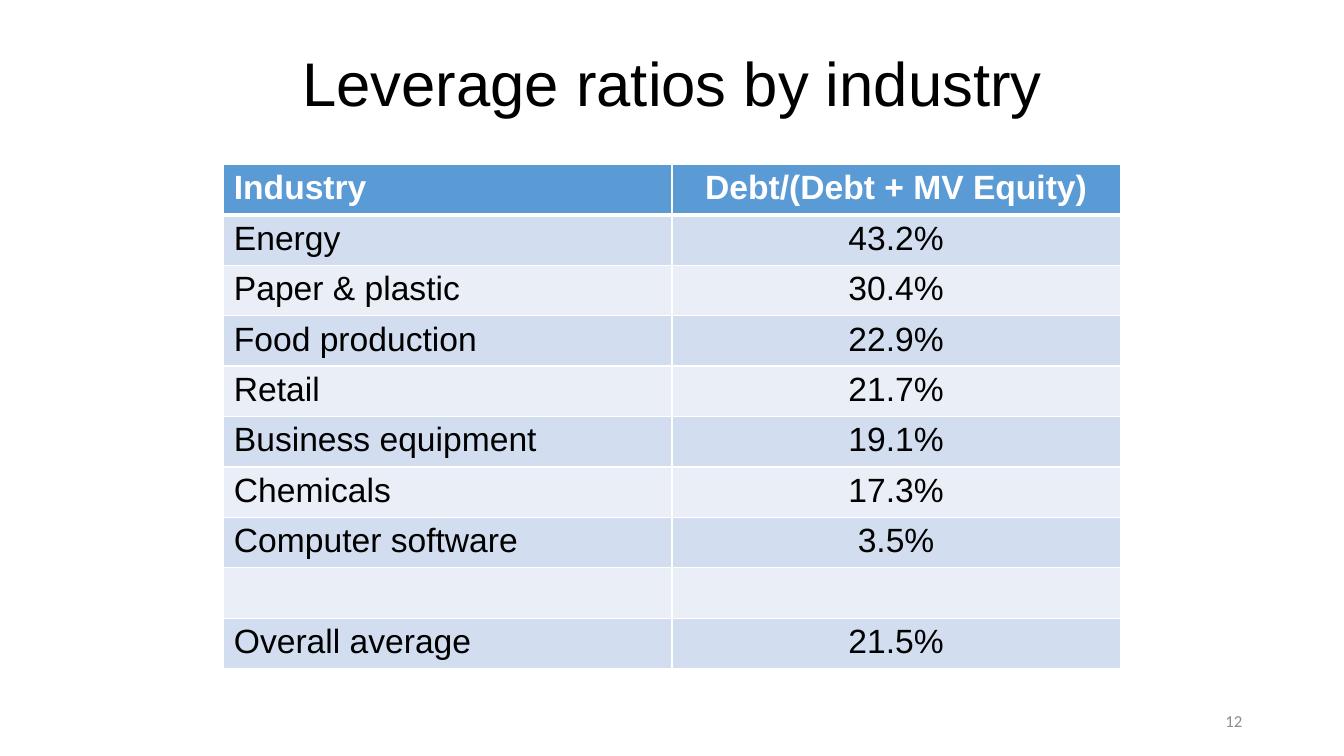
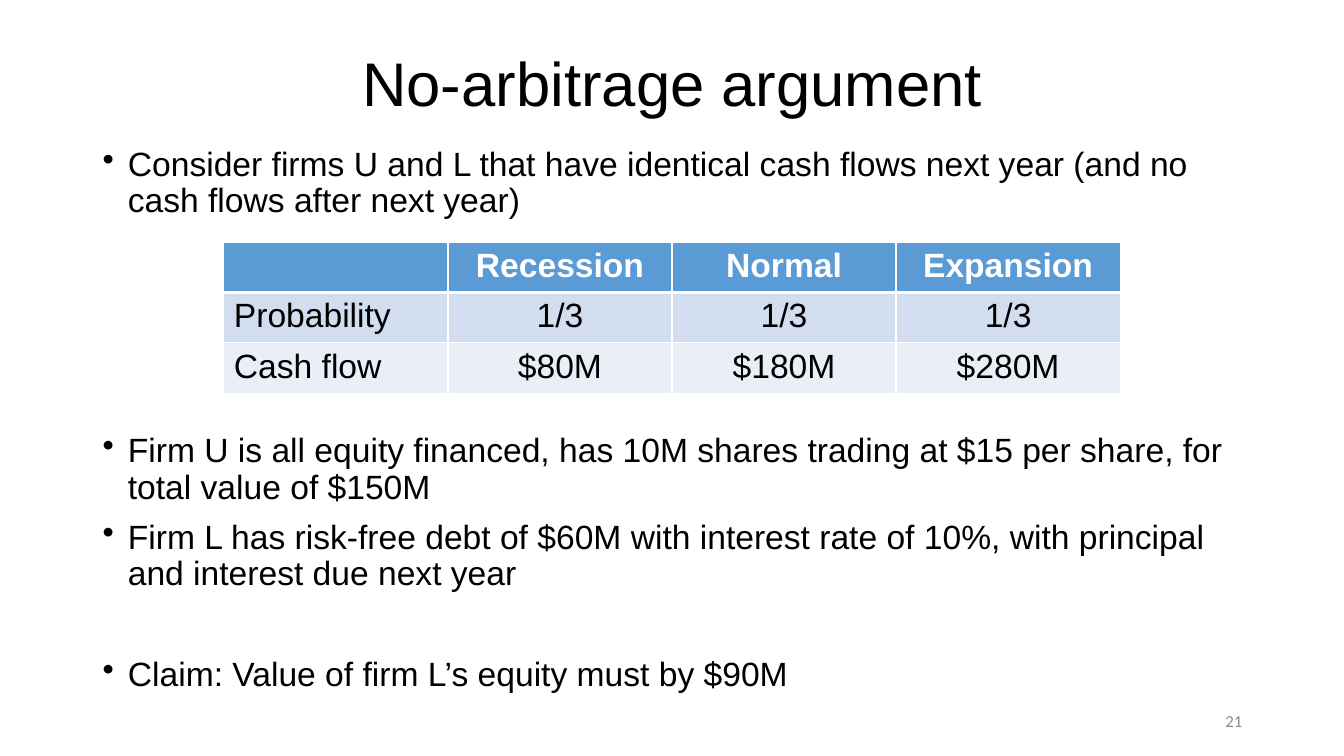
from dataclasses import dataclass

import lxml.etree
import pptx
import pptx.dml.color
import pptx.enum.text
import pptx.oxml.ns
import pptx.util

Inches = pptx.util.Inches
Pt = pptx.util.Pt
Align = pptx.enum.text.PP_ALIGN
Anchor = pptx.enum.text.MSO_ANCHOR

COLORS = {
    "text": "000000",
    "header": "5B9BD5",
    "band_dark": "D2DEEF",
    "band_light": "EAEFF7",
    "white": "FFFFFF",
    "page": "8C8C8C",
}
ROW_HEIGHT = 0.47
TABLE_LEFT, TABLE_WIDTH = 2.22, 8.89


@dataclass(frozen=True)
class Box:
    left: float
    top: float
    width: float
    height: float


@dataclass(frozen=True)
class TextStyle:
    size: float
    color: str = "text"
    font: str = "Arial"
    bold: bool = False
    align: Align = Align.LEFT


@dataclass(frozen=True)
class Bullet:
    text: str
    space_before: float = 10


@dataclass(frozen=True)
class Page:
    title: str
    number: str
    table_top: float
    rows: tuple[tuple[str, ...], ...]
    bullets: tuple[Bullet, ...] = ()


TITLE_BOX = Box(0.92, 0.4, 11.5, 0.91)
BODY_BOX = Box(0.92, 1.41, 11.5, 5.76)
NUMBER_BOX = Box(9.42, 6.95, 3, 0.4)
TITLE_STYLE = TextStyle(44, align=Align.CENTER)
BODY_STYLE = TextStyle(24)
NUMBER_STYLE = TextStyle(12, "page", "Calibri", align=Align.RIGHT)

PAGES = (
    Page(
        "Leverage ratios by industry", "12", 1.63,
        (
            ("Industry", "Debt/(Debt + MV Equity)"),
            ("Energy", "43.2%"),
            ("Paper & plastic", "30.4%"),
            ("Food production", "22.9%"),
            ("Retail", "21.7%"),
            ("Business equipment", "19.1%"),
            ("Chemicals", "17.3%"),
            ("Computer software", "3.5%"),
            ("", ""),
            ("Overall average", "21.5%"),
        ),
    ),
    Page(
        "No-arbitrage argument", "21", 2.4,
        (
            ("", "Recession", "Normal", "Expansion"),
            ("Probability", "1/3", "1/3", "1/3"),
            ("Cash flow", "$80M", "$180M", "$280M"),
        ),
        (
            Bullet("Consider firms U and L that have identical cash flows next year "
                   "(and no cash flows after next year)", 0),
            Bullet("Firm U is all equity financed, has 10M shares trading at $15 per share, "
                   "for total value of $150M", 153),
            Bullet("Firm L has risk-free debt of $60M with interest rate of 10%, "
                   "with principal and interest due next year"),
            Bullet("Claim: Value of firm L’s equity must by $90M", 46),
        ),
    ),
)


def rgb(name: str) -> pptx.dml.color.RGBColor:
    return pptx.dml.color.RGBColor.from_string(COLORS[name])


def style_paragraph(paragraph, style: TextStyle) -> None:
    paragraph.alignment = style.align
    font = paragraph.font
    font.size = Pt(style.size)
    font.name = style.font
    font.bold = style.bold
    font.color.rgb = rgb(style.color)


def add_frame(slide, box: Box, anchor: Anchor):
    frame = slide.shapes.add_textbox(
        Inches(box.left), Inches(box.top), Inches(box.width), Inches(box.height)
    ).text_frame
    frame.word_wrap = True
    frame.vertical_anchor = anchor
    return frame


def add_line(slide, box: Box, text: str, style: TextStyle, spacing: float = 1.0) -> None:
    paragraph = add_frame(slide, box, Anchor.MIDDLE).paragraphs[0]
    paragraph.text = text
    paragraph.line_spacing = spacing
    style_paragraph(paragraph, style)


def add_bullets(slide, bullets: tuple[Bullet, ...]) -> None:
    frame = add_frame(slide, BODY_BOX, Anchor.TOP)
    for index, bullet in enumerate(bullets):
        paragraph = frame.add_paragraph() if index else frame.paragraphs[0]
        paragraph.text = bullet.text
        paragraph.line_spacing = 0.9
        paragraph.space_before = Pt(bullet.space_before)
        style_paragraph(paragraph, BODY_STYLE)
        properties = paragraph._p.get_or_add_pPr()
        properties.set("marL", str(Inches(0.25)))
        properties.set("indent", str(-Inches(0.25)))
        marker = lxml.etree.Element(pptx.oxml.ns.qn("a:buChar"), char="•")
        properties.find(pptx.oxml.ns.qn("a:defRPr")).addprevious(marker)


def set_borders(cell, top: float, bottom: float) -> None:
    qn = pptx.oxml.ns.qn
    properties = cell._tc.get_or_add_tcPr()
    for side, width in (("L", 1), ("R", 1), ("T", top), ("B", bottom)):
        line = lxml.etree.SubElement(properties, qn(f"a:ln{side}"), w=str(Pt(width)))
        fill = lxml.etree.SubElement(line, qn("a:solidFill"))
        lxml.etree.SubElement(fill, qn("a:srgbClr"), val=COLORS["white"])


def add_grid(slide, top: float, rows: tuple[tuple[str, ...], ...]) -> None:
    columns = len(rows[0])
    table = slide.shapes.add_table(
        len(rows), columns, Inches(TABLE_LEFT), Inches(top),
        Inches(TABLE_WIDTH), Inches(ROW_HEIGHT * len(rows)),
    ).table
    for column in table.columns:
        column.width = Inches(TABLE_WIDTH / columns)
    for r, row in enumerate(rows):
        table.rows[r].height = Inches(ROW_HEIGHT)
        header = r == 0
        band = "header" if header else "band_dark" if r % 2 else "band_light"
        for c, text in enumerate(row):
            cell = table.cell(r, c)
            set_borders(cell, 3 if r == 1 else 1, 3 if header else 1)
            cell.fill.solid()
            cell.fill.fore_color.rgb = rgb(band)
            cell.text = text
            style_paragraph(cell.text_frame.paragraphs[0], TextStyle(
                24, "white" if header else "text", bold=header,
                align=Align.CENTER if c else Align.LEFT,
            ))


def add_page(deck, page: Page) -> None:
    slide = deck.slides.add_slide(deck.slide_layouts[6])
    add_line(slide, TITLE_BOX, page.title, TITLE_STYLE, 0.9)
    if page.bullets:
        add_bullets(slide, page.bullets)
    add_line(slide, NUMBER_BOX, page.number, NUMBER_STYLE)
    add_grid(slide, page.table_top, page.rows)


def main() -> None:
    deck = pptx.Presentation()
    deck.slide_width = Inches(13.33)
    deck.slide_height = Inches(7.5)
    for page in PAGES:
        add_page(deck, page)
    deck.save("out.pptx")


if __name__ == "__main__":
    main()
